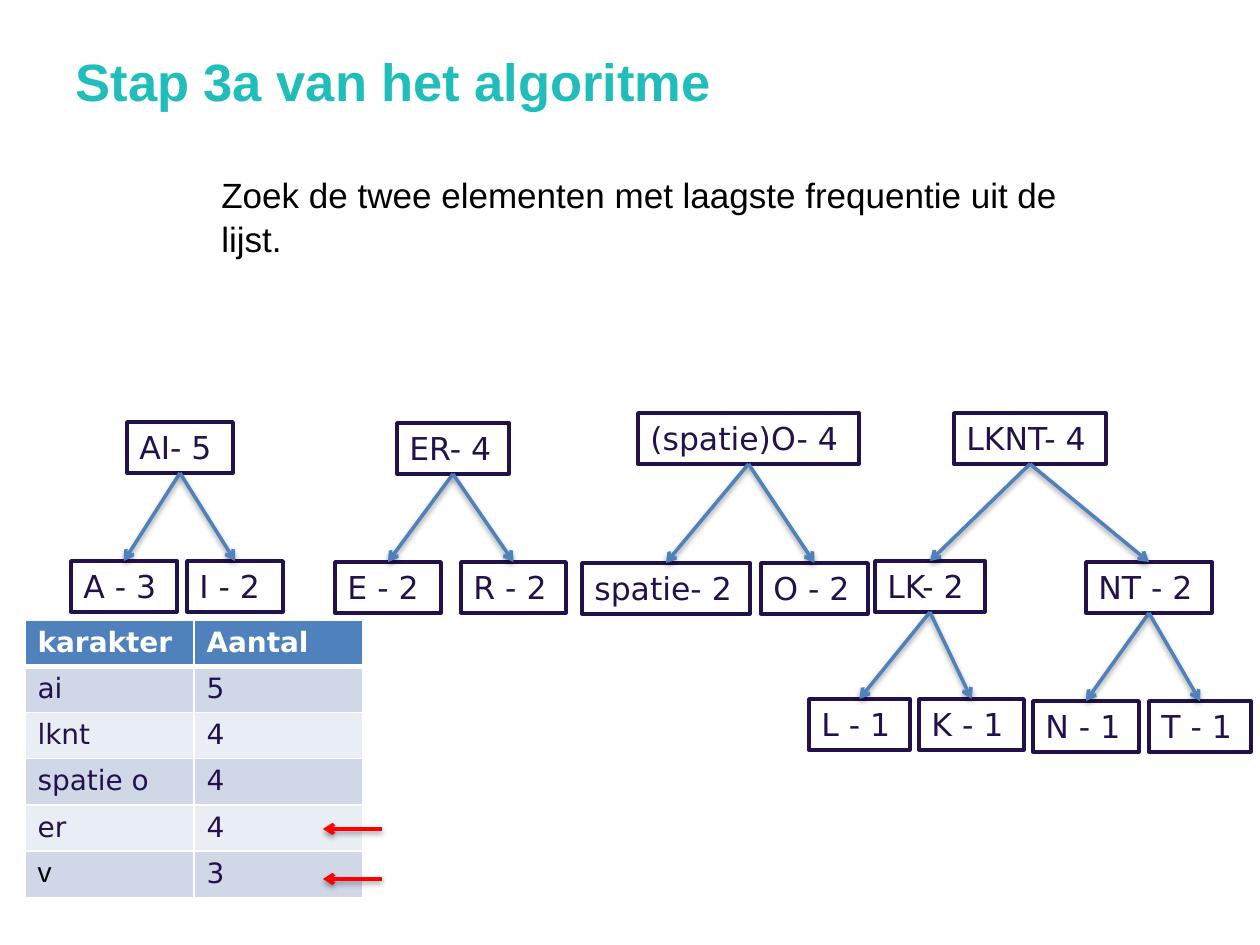
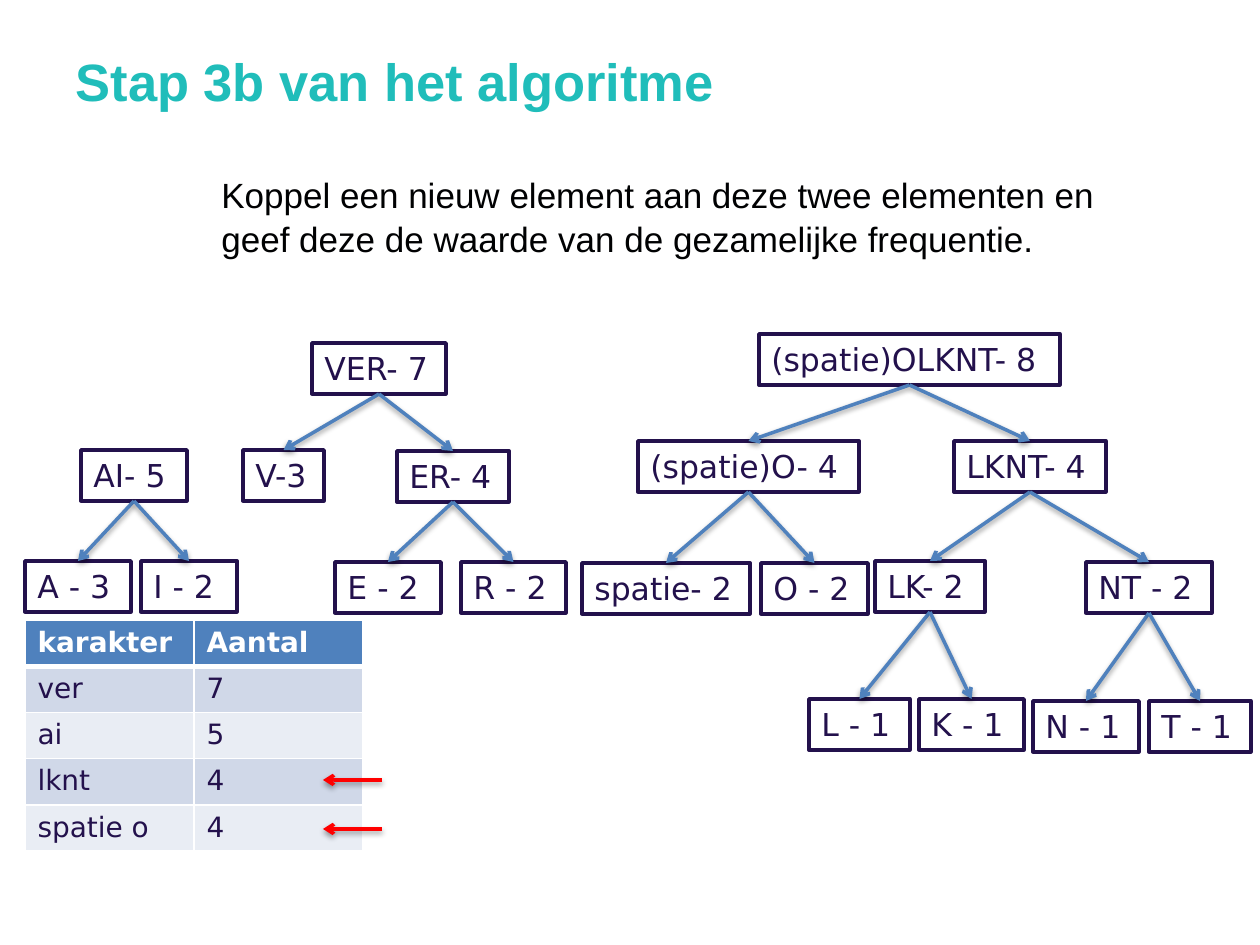
from lxml.etree import SubElement
from pptx import Presentation
from pptx.dml.color import RGBColor
from pptx.enum.shapes import MSO_CONNECTOR, MSO_SHAPE
from pptx.enum.text import MSO_ANCHOR, MSO_AUTO_SIZE, PP_ALIGN
from pptx.oxml import parse_xml
from pptx.oxml.ns import nsdecls, qn
from pptx.util import Pt

PX = 914400 / 126  # EMU per px
COLORS = {
    "title": "20BDBA", "body": "000102", "ink": "23114C", "white": "FFFFFF",
    "blue": "4F81BD", "red": "FF0000", "odd": "D0D8E8", "even": "E9EDF4",
}
HEAD, TEXT = "Arial", "DejaVu Sans"
NODE_H, ROW_H, COL_W = 51, 45, 169
SHADOW = (f'<a:effectLst {nsdecls("a")}><a:outerShdw blurRad="40000" dist="20000" dir="5400000" '
          'rotWithShape="0"><a:srgbClr val="000000"><a:alpha val="38000"/></a:srgbClr>'
          '</a:outerShdw></a:effectLst>')


def emu(*lengths):
    return [round(n * PX) for n in lengths]


def style(p, size, font, color, bold=False):
    f = p.runs[0].font
    f.size, f.name, f.bold = Pt(size), font, bold
    f.color.rgb = RGBColor.from_string(COLORS[color])


# Trees: label -> left, top, width
leaves = {
    "E - 2": (335, 562, 106), "R - 2": (461, 562, 105),
    "spatie- 2": (582, 563, 168), "O - 2": (761, 563, 107),
    "LK- 2": (875, 561, 110), "NT - 2": (1086, 562, 126),
    "L - 1": (809, 699, 101), "K - 1": (919, 699, 105),
    "N - 1": (1033, 701, 106), "T - 1": (1149, 701, 102),
}
pairs = {"ER- 4": (397, 423, 112), "(spatie)O- 4": (638, 413, 221), "LKNT- 4": (954, 413, 152)}
ai_tree = {"AI- 5": (127, 422, 106), "A - 3": (71, 561, 106), "I - 2": (187, 561, 96)}
roots = {"VER- 7": (312, 343, 134), "V-3": (243, 450, 81), "(spatie)OLKNT- 8": (759, 334, 301)}
children = {
    "AI- 5": ("A - 3", "I - 2"), "ER- 4": ("E - 2", "R - 2"),
    "(spatie)O- 4": ("spatie- 2", "O - 2"), "LKNT- 4": ("LK- 2", "NT - 2"),
    "LK- 2": ("L - 1", "K - 1"), "NT - 2": ("N - 1", "T - 1"),
    "VER- 7": ("V-3", "ER- 4"), "(spatie)OLKNT- 8": ("(spatie)O- 4", "LKNT- 4"),
}

# In step 3b the joined pairs move down and the AI tree moves left
DROP, SHIFT = 28, -46
lowered = {k: (x, y + DROP, w) for k, (x, y, w) in pairs.items()}
shifted = {k: (x + SHIFT, y + DROP * (k == "AI- 5"), w) for k, (x, y, w) in ai_tree.items()}

slides = [
    {"title": "Stap 3a van het algoritme",
     "body": "Zoek de twee elementen met laagste frequentie uit de lijst.", "body_h": 183,
     "rows": [("ai", "5"), ("lknt", "4"), ("spatie o", "4"), ("er", "4"), ("v", "3")],
     "nodes": leaves | pairs | ai_tree, "pointers": (829, 879)},
    {"title": "Stap 3b van het algoritme",
     "body": "Koppel een nieuw element aan deze twee elementen en geef deze de waarde "
             "van de gezamelijke frequentie.", "body_h": 140,
     "rows": [("ver", "7"), ("ai", "5"), ("lknt", "4"), ("spatie o", "4")],
     "nodes": leaves | lowered | shifted | roots, "pointers": (780, 829)},
]

prs = Presentation()
prs.slide_width, prs.slide_height = emu(1260, 945)

for data in slides:
    s = prs.slides.add_slide(prs.slide_layouts[5])

    # Title
    sp = s.shapes.title
    sp.left, sp.top, sp.width, sp.height = emu(63, 38, 1134, 97)
    tf = sp.text_frame
    tf.text = data["title"]
    tf.auto_size, tf.vertical_anchor = MSO_AUTO_SIZE.NONE, MSO_ANCHOR.TOP
    tf.margin_top = emu(11)[0]
    tf.paragraphs[0].alignment = PP_ALIGN.LEFT
    style(tf.paragraphs[0], 30, HEAD, "title", True)

    # Explanation
    tf = s.shapes.add_textbox(*emu(154, 165, 973, data["body_h"])).text_frame
    tf.word_wrap = True
    tf.text = data["body"]
    p = tf.paragraphs[0]
    p.line_spacing = 1.05
    pPr = p._p.get_or_add_pPr()
    pPr.set("marL", str(emu(55)[0]))
    pPr.set("indent", "0")
    style(p, 20, HEAD, "body")

    # Frequency table
    rows = [("karakter", "Aantal")] + data["rows"]
    table = s.shapes.add_table(len(rows), 2, *emu(25, 620, 2 * COL_W, ROW_H * len(rows))).table
    for col in table.columns:
        col.width = emu(COL_W)[0]
    for i, row in enumerate(rows):
        table.rows[i].height = emu(ROW_H)[0]
        for j, text in enumerate(row):
            cell = table.cell(i, j)
            cell.text = text
            p = cell.text_frame.paragraphs[0]
            if i == 0:
                style(p, 16, TEXT, "white", True)
            elif text == "v":
                style(p, 16, HEAD, "body")
            else:
                style(p, 16, TEXT, "ink")
            tcPr = cell._tc.get_or_add_tcPr()
            for side in "LRTB":
                thick = (i, side) in ((0, "B"), (1, "T"))
                ln = SubElement(tcPr, qn(f"a:ln{side}"), w=str(Pt(3 if thick else 1)))
                fill = SubElement(ln, qn("a:solidFill"))
                SubElement(fill, qn("a:srgbClr"), val=COLORS["white"])
            cell.fill.solid()
            band = "blue" if i == 0 else "odd" if i % 2 else "even"
            cell.fill.fore_color.rgb = RGBColor.from_string(COLORS[band])

    # Tree nodes
    boxes = {}
    for label, (x, y, w) in data["nodes"].items():
        sp = s.shapes.add_shape(MSO_SHAPE.RECTANGLE, *emu(x, y, w, NODE_H))
        sp.shadow.inherit = False
        sp.fill.solid()
        sp.fill.fore_color.rgb = RGBColor.from_string(COLORS["white"])
        sp.line.color.rgb = RGBColor.from_string(COLORS["ink"])
        sp.line.width = Pt(2)
        tf = sp.text_frame
        tf.text = label
        tf.word_wrap, tf.margin_right = True, 0
        tf.vertical_anchor = MSO_ANCHOR.TOP
        tf.paragraphs[0].alignment = PP_ALIGN.LEFT
        style(tf.paragraphs[0], 18, TEXT, "ink")
        boxes[label] = sp

    # Arrows: tree branches, then pointers at the two lowest rows
    arrows = []
    for parent in boxes.keys() & children.keys():
        for child in children[parent]:
            c = s.shapes.add_connector(MSO_CONNECTOR.STRAIGHT, 0, 0, 0, 0)
            c.begin_connect(boxes[parent], 2)
            c.end_connect(boxes[child], 0)
            arrows.append((c, "blue"))
    for y in data["pointers"]:
        c = s.shapes.add_connector(MSO_CONNECTOR.STRAIGHT, *emu(382, y, 323, y))
        arrows.append((c, "red"))
    for c, color in arrows:
        c.line.color.rgb = RGBColor.from_string(COLORS[color])
        c.line.width = Pt(2)
        SubElement(c.line._get_or_add_ln(), qn("a:tailEnd"), type="arrow")
        c._element.spPr.append(parse_xml(SHADOW))

prs.save("out.pptx")
